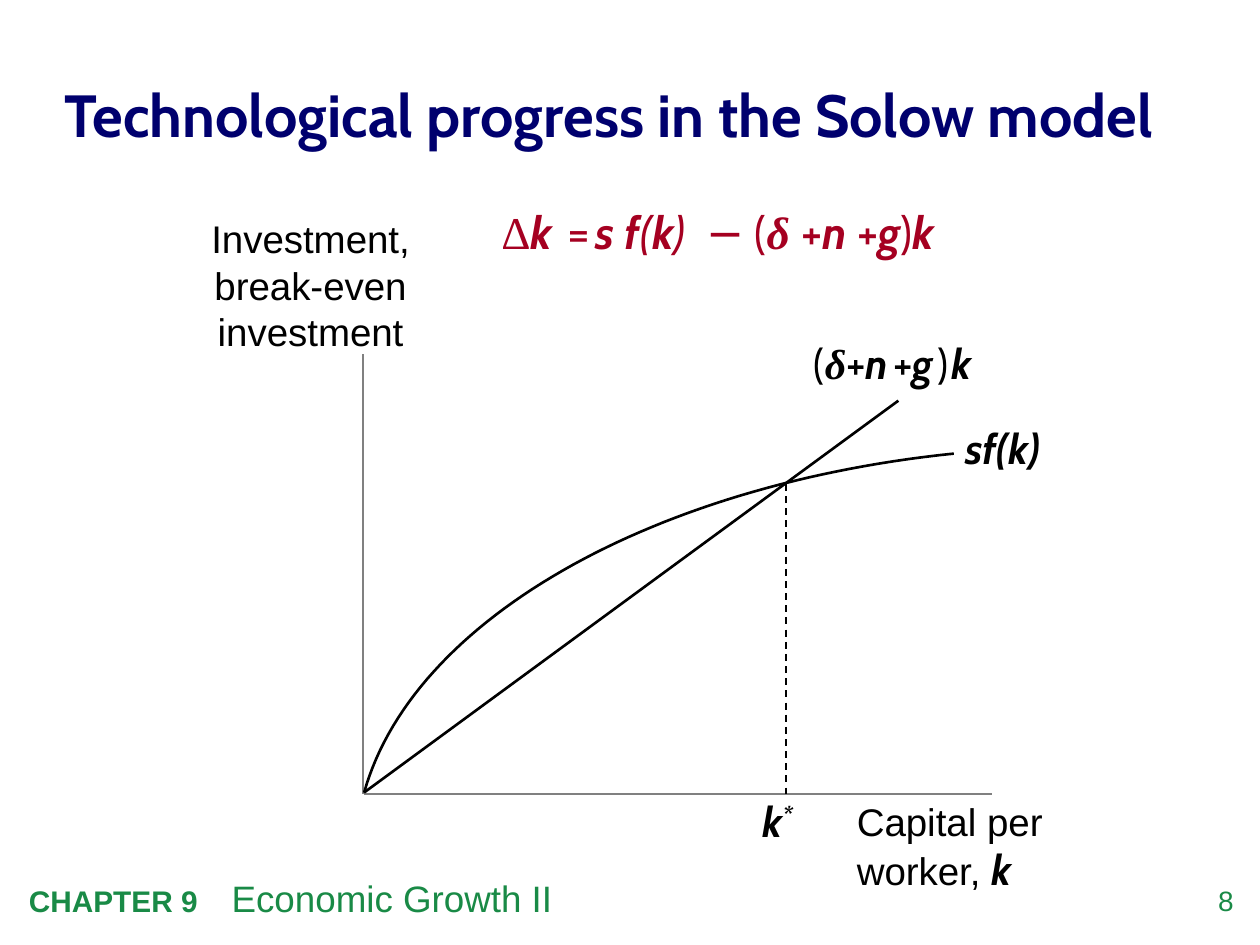
from lxml import etree
from pptx import Presentation
from pptx.dml.color import RGBColor
from pptx.enum.dml import MSO_LINE
from pptx.enum.shapes import MSO_CONNECTOR
from pptx.enum.text import MSO_ANCHOR, PP_ALIGN
from pptx.oxml.ns import qn
from pptx.util import Inches, Pt

LEFT, CENTER, RIGHT = PP_ALIGN.LEFT, PP_ALIGN.CENTER, PP_ALIGN.RIGHT
TOP, MIDDLE = MSO_ANCHOR.TOP, MSO_ANCHOR.MIDDLE
STRAIGHT, DASH = MSO_CONNECTOR.STRAIGHT, MSO_LINE.DASH
BLACK = RGBColor(0x00, 0x00, 0x00)
WHITE = RGBColor(0xFF, 0xFF, 0xFF)
GRAY = RGBColor(0x80, 0x80, 0x80)
NAVY = RGBColor(0x00, 0x00, 0x6E)
GREEN = RGBColor(0x19, 0x8A, 0x46)
RED = RGBColor(0xA5, 0x00, 0x21)
SANS, MATH, GREEK = "Arial", "Cabin", "Times New Roman"

# Runs are (text, size, font, style); style holds "b" for bold, "i" for italic.
TITLE = [("Technological progress in the Solow model", 34, MATH, "b")]
CHAPTER = [("CHAPTER 9\t", 17, SANS, "b"), ("Economic Growth II", 21, SANS, "")]
PAGE = [("8", 16, SANS, "")]
Y_LABEL = [("Investment, break-even investment", 22, SANS, "")]
X_LABEL = [("Capital per \nworker, ", 22, SANS, ""), ("k", 24, MATH, "bi")]
SAVING_LABEL = [("sf(k)", 24, MATH, "bi")]
STEADY_LABEL = [("k", 24, MATH, "bi"), ("*", 24, MATH, "bi^")]
BREAK_EVEN_LABEL = [
    ("(", 24, MATH, ""), ("δ", 24, GREEK, "bi"), ("+", 24, MATH, ""),
    ("n", 24, MATH, "bi"), (" ", 12, MATH, ""), ("+", 24, MATH, ""),
    ("g", 24, MATH, "bi"), (" ", 12, MATH, ""), (")", 24, MATH, ""),
    (" ", 6, MATH, ""), ("k", 24, MATH, "bi"),
]
EQUATION = [
    ("Δ", 26, GREEK, ""), ("k ", 26, MATH, "bi"), (" ", 13, MATH, ""),
    ("=", 26, MATH, ""), (" ", 13, MATH, ""), ("s f", 26, MATH, "bi"),
    ("(", 26, MATH, "i"), ("k", 26, MATH, "bi"), (") ", 26, MATH, "i"),
    (" − (", 26, MATH, ""), ("δ ", 26, GREEK, "bi"), ("+", 26, MATH, ""),
    ("n ", 26, MATH, "bi"), ("+", 26, MATH, ""), ("g", 26, MATH, "bi"),
    (")", 26, MATH, ""), ("k", 26, MATH, "bi"),
]

NO_INSETS = (0, 0, 0, 0)
PADDED = (0.1, 0.05, 0.1, 0.05)

ORIGIN = (2.89, 6.29)
AXIS_Y = 6.3
STEADY_X = 6.24
SAVING_CURVE = [(7.57, 3.6), (5.15, 3.85), (3.27, 4.93), ORIGIN]
CURVE_STEPS = 60


def add_text(slide, box, runs, color, align=LEFT, anchor=MIDDLE, insets=NO_INSETS):
    shape = slide.shapes.add_textbox(*map(Inches, box))
    frame = shape.text_frame
    frame.word_wrap = True
    frame.vertical_anchor = anchor
    (frame.margin_left, frame.margin_top,
     frame.margin_right, frame.margin_bottom) = map(Inches, insets)
    paragraph = frame.paragraphs[0]
    paragraph.alignment = align
    for text, size, name, style in runs:
        for index, part in enumerate(text.split("\n")):
            if index:
                paragraph.add_line_break()
            run = paragraph.add_run()
            run.text = part
            font = run.font
            font.size, font.name, font.color.rgb = Pt(size), name, color
            font.bold, font.italic = "b" in style, "i" in style
            if "^" in style:
                font._element.set("baseline", "30000")
    return shape


def add_line(slide, start, end, color, width, dash=None):
    line = slide.shapes.add_connector(STRAIGHT, *map(Inches, start + end))
    line.line.color.rgb = color
    line.line.width = Pt(width)
    if dash:
        line.line.dash_style = dash
    etree.SubElement(line._element.spPr, qn("a:effectLst"))


def bezier_point(controls, t):
    """Return the point at t on a cubic Bezier curve."""
    weights = ((1 - t) ** 3, 3 * t * (1 - t) ** 2, 3 * t ** 2 * (1 - t), t ** 3)
    return tuple(sum(w * point[axis] for w, point in zip(weights, controls))
                 for axis in (0, 1))


def add_curve(slide, controls, color, width):
    points = [tuple(map(Inches, bezier_point(controls, step / CURVE_STEPS)))
              for step in range(CURVE_STEPS + 1)]
    builder = slide.shapes.build_freeform(*points[0])
    builder.add_line_segments(points[1:], close=False)
    curve = builder.convert_to_shape()
    curve.shadow.inherit = False
    curve.fill.background()
    curve.line.color.rgb = color
    curve.line.width = Pt(width)


def fill_white(shape, opacity=100):
    shape.fill.solid()
    shape.fill.fore_color.rgb = WHITE
    if opacity < 100:
        color = shape._element.spPr.find(f"{qn('a:solidFill')}/{qn('a:srgbClr')}")
        etree.SubElement(color, qn("a:alpha"), val=str(opacity * 1000))


def add_tab_stop(paragraph, position):
    tabs = etree.SubElement(paragraph._p.get_or_add_pPr(), qn("a:tabLst"))
    etree.SubElement(tabs, qn("a:tab"), pos=str(Inches(position)), algn="l")


def main():
    presentation = Presentation()
    presentation.slide_width, presentation.slide_height = Inches(10), Inches(7.5)
    slide = presentation.slides.add_slide(presentation.slide_layouts[6])

    add_text(slide, (9.24, 7.01, 0.55, 0.32), PAGE, GREEN, RIGHT, TOP)
    chapter = add_text(slide, (0.13, 6.9, 8.18, 0.45), CHAPTER, GREEN,
                       anchor=TOP, insets=PADDED)
    add_tab_stop(chapter.text_frame.paragraphs[0], 1.61)
    title = add_text(slide, (0.51, 0.3, 8.9, 1.17), TITLE, NAVY)
    title.text_frame.paragraphs[0].line_spacing = 1.05

    add_line(slide, (2.88, 2.47), (2.88, AXIS_Y), GRAY, 1)
    add_line(slide, (2.89, AXIS_Y), (7.87, AXIS_Y), GRAY, 1)
    fill_white(add_text(slide, (1.46, 1.71, 2.01, 1.1), Y_LABEL, BLACK, CENTER))
    add_text(slide, (6.8, 6.33, 1.75, 0.77), X_LABEL, BLACK)

    add_curve(slide, SAVING_CURVE, BLACK, 1.5)
    add_text(slide, (7.66, 3.35, 1.04, 0.4), SAVING_LABEL, BLACK)
    add_text(slide, (6.46, 2.68, 1.92, 0.4), BREAK_EVEN_LABEL, BLACK)
    add_line(slide, ORIGIN, (7.13, 3.18), BLACK, 1.5)
    add_text(slide, (6.05, 6.31, 0.58, 0.5), STEADY_LABEL, BLACK,
             insets=(0, 0, 0, 0.1))
    add_line(slide, (STEADY_X, 3.84), (STEADY_X, AXIS_Y), BLACK, 1, DASH)

    equation = add_text(slide, (3.88, 1.57, 4.58, 0.54), EQUATION, RED,
                        anchor=TOP, insets=PADDED)
    fill_white(equation, opacity=50)
    presentation.save("out.pptx")


if __name__ == "__main__":
    main()
